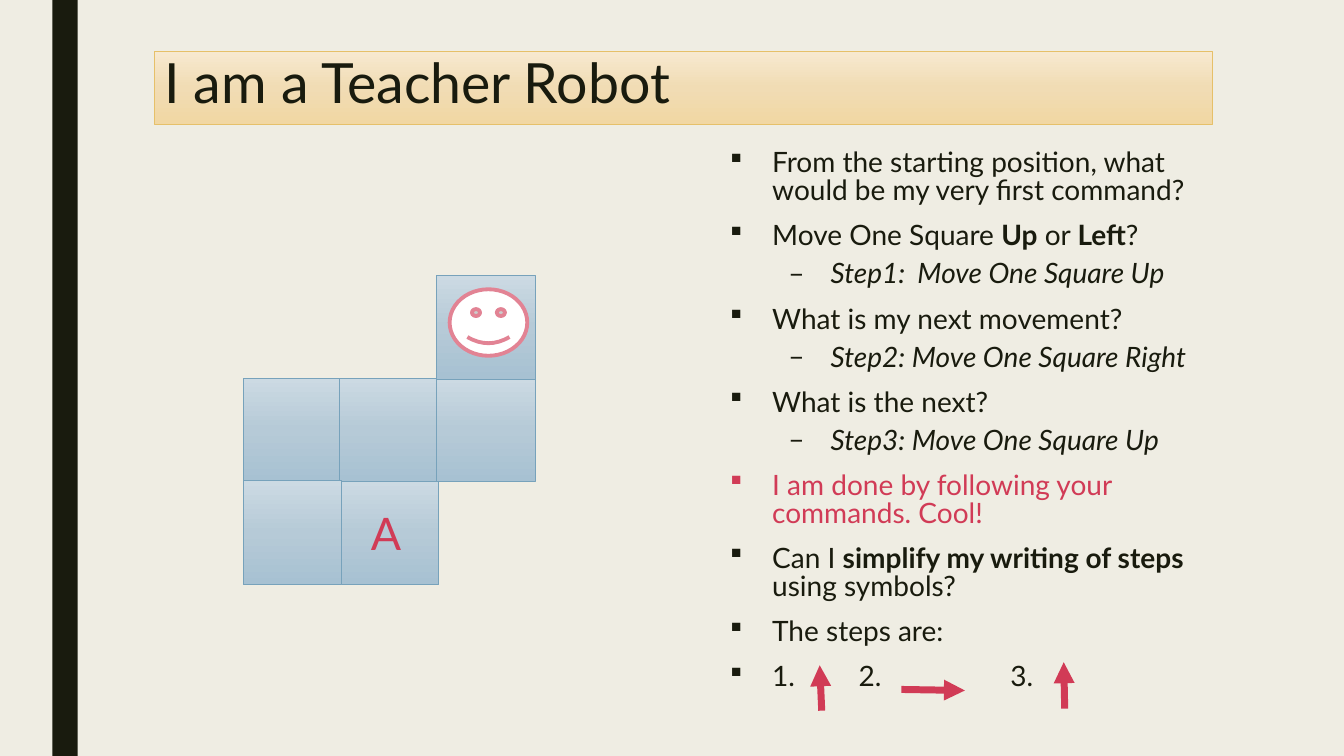
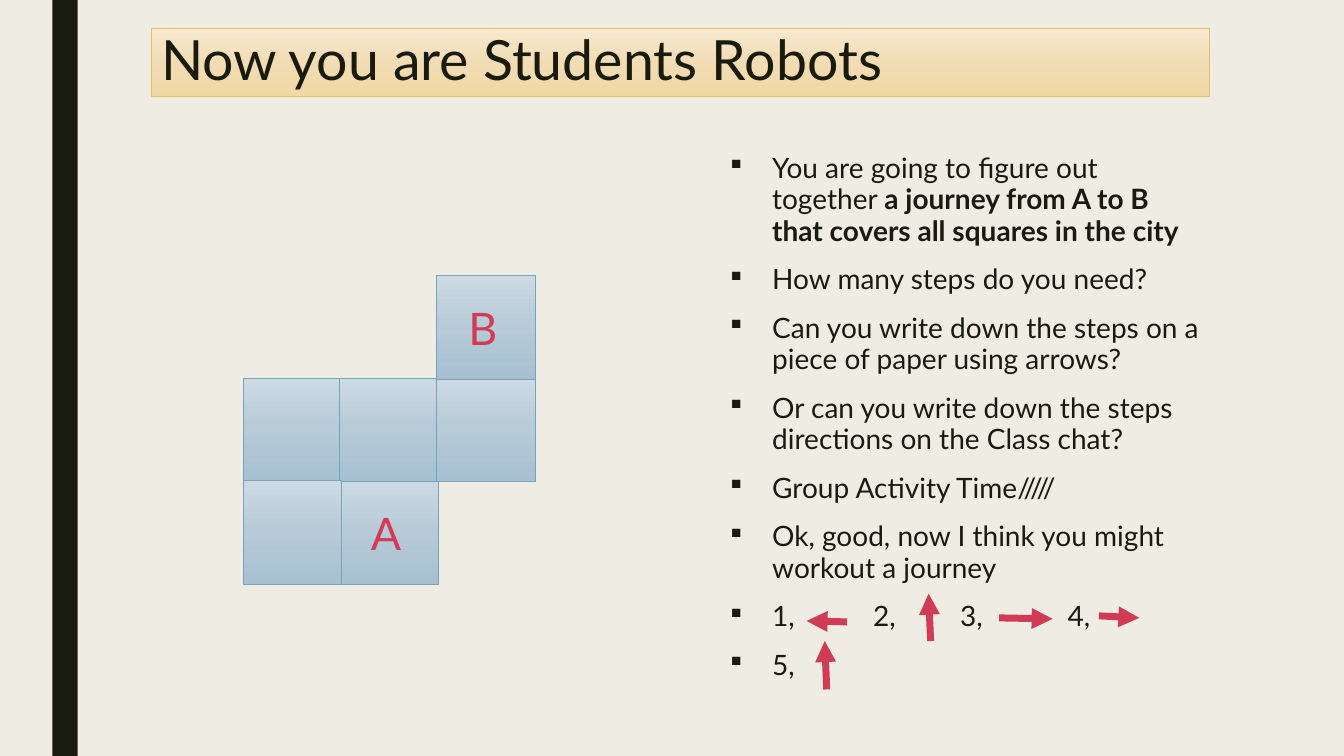
import copy
from dataclasses import dataclass
from typing import Any

import lxml.etree
import pptx
import pptx.dml.color
import pptx.enum.shapes
import pptx.enum.text
import pptx.oxml.ns
import pptx.util

Inches = pptx.util.Inches
SHAPES = pptx.enum.shapes.MSO_SHAPE
ALIGN = pptx.enum.text.PP_ALIGN

COLORS = {
    "paper": "EFEDE3",
    "ink": "191B0E",
    "accent": "D13B56",
    "smile": "E28394",
    "white": "FFFFFF",
    "title_edge": "E6C069",
    "tile_edge": "77A2BB",
}
GRADIENTS = {
    "title": ("F7E9D0", "F1DCB4", "F1D7A3"),
    "tile": ("CCDAE3", "B6CAD7", "A7C1D2"),
}
FONT = "Lato"
TILES = ((0, 1), (1, 2), (1, 1), (2, 1), (2, 0), (0, 2))
START, GOAL = (1, 2), (2, 0)
HANGING = 0.42


@dataclass(frozen=True)
class Bullet:
    mark: str
    font: str
    margin: float
    before: float


BULLETS = (Bullet("§", "Wingdings", 0.42, 10), Bullet("–", FONT, 1, 5))


@dataclass(frozen=True)
class Box:
    left: float
    top: float
    width: float
    height: float

    def emu(self) -> tuple[int, ...]:
        return tuple(Inches(v) for v in (self.left, self.top, self.width, self.height))


@dataclass(frozen=True)
class Run:
    text: str
    bold: bool = False
    gap: float = 0


@dataclass(frozen=True)
class Item:
    runs: tuple[Run, ...]
    level: int = 0
    color: str = "ink"


@dataclass(frozen=True)
class Arrow:
    x1: float
    y1: float
    x2: float
    y2: float


@dataclass(frozen=True)
class Lesson:
    title: str
    title_box: Box
    body_box: Box
    line_spacing: float
    items: tuple[Item, ...]
    arrows: tuple[Arrow, ...]
    robot_at_goal: bool


def plain(text: str, color: str = "ink") -> Item:
    return Item((Run(text),), color=color)


def step(label: str, text: str, gap: float = 0) -> Item:
    return Item((Run(label), Run(" ", gap=gap), Run(text)), level=1)


LESSONS = (
    Lesson(
        "I am a Teacher Robot",
        Box(1.53, 0.51, 10.5, 0.72),
        Box(7.14, 1.44, 4.86, 5.82),
        0.84,
        (
            plain("From the starting position, what would be my very first command?"),
            Item((Run("Move One Square "), Run("Up", True), Run(" or "),
                  Run("Left", True), Run("?"))),
            step("Step1:", "Move One Square Up", gap=3.9),
            plain("What is my next movement?"),
            step("Step2:", "Move One Square Right"),
            plain("What is the next?"),
            step("Step3:", "Move One Square Up"),
            plain("I am done by following your commands. Cool!", "accent"),
            Item((Run("Can I "), Run("simplify my writing of steps ", True),
                  Run("using symbols?"))),
            plain("The steps are:"),
            Item((Run("1."), Run(" ", gap=40.2), Run("2."), Run(" ", gap=87),
                  Run("3."))),
        ),
        (
            Arrow(8.15, 7.05, 8.13, 6.6),
            Arrow(8.94, 6.84, 9.57, 6.85),
            Arrow(10.56, 7.03, 10.55, 6.57),
        ),
        True,
    ),
    Lesson(
        "Now you are Students Robots",
        Box(1.5, 0.28, 10.5, 0.68),
        Box(7.14, 1.47, 4.86, 5.84),
        0.94,
        (
            Item((Run("You are going to figure out together "),
                  Run("a journey from A to B that covers all squares in the city", True))),
            plain("How many steps do you need?"),
            plain("Can you write down the steps on a piece of paper using arrows?"),
            plain("Or can you write down the steps directions on the Class chat?"),
            plain("Group Activity Time/////"),
            plain("Ok, good, now I think you might workout a journey"),
            Item((Run("1,"), Run(" ", gap=50.7), Run("2,"), Run(" ", gap=40.9),
                  Run("3,"), Run(" ", gap=55.4), Run("4,"))),
            plain("5,"),
        ),
        (
            Arrow(8.4, 6.17, 8, 6.16),
            Arrow(9.23, 6.36, 9.21, 5.89),
            Arrow(9.91, 6.13, 10.44, 6.14),
            Arrow(10.9, 6.11, 11.3, 6.13),
            Arrow(8.2, 6.84, 8.18, 6.36),
        ),
        False,
    ),
)


def rgb(value: str) -> pptx.dml.color.RGBColor:
    return pptx.dml.color.RGBColor.from_string(value)


def apply(target: Any, **formats: Any) -> None:
    for name, value in formats.items():
        setattr(target, name, value)


def child(parent: Any, tag: str, **attributes: str) -> None:
    element = lxml.etree.SubElement(parent, pptx.oxml.ns.qn(tag))
    for name, value in attributes.items():
        element.set(name, value)


def style_font(font: Any, size: float, color: str, **formats: Any) -> None:
    apply(font, name=FONT, size=pptx.util.Pt(size), **formats)
    font.color.rgb = rgb(COLORS[color])


def add_figure(shapes: Any, kind: Any, box: Box, fill: str,
               edge: str = "", weight: float = 0.5) -> Any:
    figure = shapes.add_shape(kind, *box.emu())
    figure.shadow.inherit = False
    if fill in GRADIENTS:
        figure.fill.gradient()
        figure.fill.gradient_angle = 270
        stops = figure._element.spPr.find(".//" + pptx.oxml.ns.qn("a:gsLst"))
        stops.insert(1, copy.deepcopy(stops[0]))
        for index, stop in enumerate(figure.fill.gradient_stops):
            stop.position = index / 2
            stop.color.rgb = rgb(GRADIENTS[fill][index])
    else:
        figure.fill.solid()
        figure.fill.fore_color.rgb = rgb(COLORS[fill])
    if edge:
        figure.line.color.rgb = rgb(COLORS[edge])
        figure.line.width = pptx.util.Pt(weight)
    else:
        figure.line.fill.background()
    return figure


def add_title(shapes: Any, lesson: Lesson) -> None:
    band = add_figure(shapes, SHAPES.RECTANGLE, lesson.title_box, "title", "title_edge")
    apply(band.text_frame, word_wrap=True,
          vertical_anchor=pptx.enum.text.MSO_ANCHOR.TOP)
    heading = band.text_frame.paragraphs[0]
    apply(heading, text=lesson.title, alignment=ALIGN.LEFT, line_spacing=0.89)
    style_font(heading.runs[0].font, 39.6, "ink")


def add_body(shapes: Any, lesson: Lesson) -> None:
    frame = shapes.add_textbox(*lesson.body_box.emu()).text_frame
    frame.word_wrap = True
    for index, item in enumerate(lesson.items):
        paragraph = frame.add_paragraph() if index else frame.paragraphs[0]
        bullet = BULLETS[item.level]
        properties = paragraph._p.get_or_add_pPr()
        properties.set("marL", str(Inches(bullet.margin)))
        properties.set("indent", str(-Inches(HANGING)))
        child(properties, "a:buFont", typeface=bullet.font)
        child(properties, "a:buChar", char=bullet.mark)
        apply(paragraph, level=item.level, line_spacing=lesson.line_spacing,
              space_before=pptx.util.Pt(bullet.before if index else 0),
              space_after=pptx.util.Pt(2))
        for part in item.runs:
            run = paragraph.add_run()
            run.text = part.text
            style_font(run.font, 20, item.color, bold=part.bold,
                       italic=item.level == 1)
            if part.gap:
                run._r.get_or_add_rPr().set("spc", str(round(part.gap * 100)))


def tile_box(cell: tuple[int, int]) -> Box:
    column, row = cell
    return Box(2.41 + 0.96 * column, 2.73 + 1.02 * row, 0.98, 1.03)


def add_city(shapes: Any, robot_at_goal: bool) -> None:
    city = shapes.add_group_shape().shapes
    for cell in TILES:
        add_figure(city, SHAPES.RECTANGLE, tile_box(cell), "tile", "tile_edge")
    marks = {"A": START} if robot_at_goal else {"A": START, "B": GOAL}
    for letter, cell in marks.items():
        tile = tile_box(cell)
        label = Box(tile.left + 0.01, tile.top + 0.2, 0.9, 0.64)
        frame = city.add_textbox(*label.emu()).text_frame
        frame.word_wrap = True
        apply(frame.paragraphs[0], text=letter, alignment=ALIGN.CENTER)
        style_font(frame.paragraphs[0].runs[0].font, 32, "accent")
    if robot_at_goal:
        add_figure(shapes, SHAPES.SMILEY_FACE, Box(4.46, 2.87, 0.77, 0.66),
                   "white", "smile", 2.75)


def add_arrow(shapes: Any, arrow: Arrow) -> None:
    ends = (Inches(v) for v in (arrow.x1, arrow.y1, arrow.x2, arrow.y2))
    line = shapes.add_connector(pptx.enum.shapes.MSO_CONNECTOR.STRAIGHT, *ends)
    line.line.color.rgb = rgb(COLORS["accent"])
    line.line.width = pptx.util.Pt(5)
    properties = line._element.spPr
    child(properties.find(pptx.oxml.ns.qn("a:ln")), "a:tailEnd", type="triangle")
    child(properties, "a:effectLst")


def add_lesson(deck: Any, lesson: Lesson) -> None:
    shapes = deck.slides.add_slide(deck.slide_layouts[6]).shapes
    add_figure(shapes, SHAPES.RECTANGLE, Box(0.52, 0, 0.25, 7.5), "ink")
    add_title(shapes, lesson)
    add_body(shapes, lesson)
    add_city(shapes, lesson.robot_at_goal)
    for arrow in lesson.arrows:
        add_arrow(shapes, arrow)


def main() -> None:
    deck = pptx.Presentation()
    apply(deck, slide_width=Inches(13.33), slide_height=Inches(7.5))
    backdrop = deck.slide_master.background.fill
    backdrop.solid()
    backdrop.fore_color.rgb = rgb(COLORS["paper"])
    for lesson in LESSONS:
        add_lesson(deck, lesson)
    deck.save("out.pptx")


if __name__ == "__main__":
    main()
